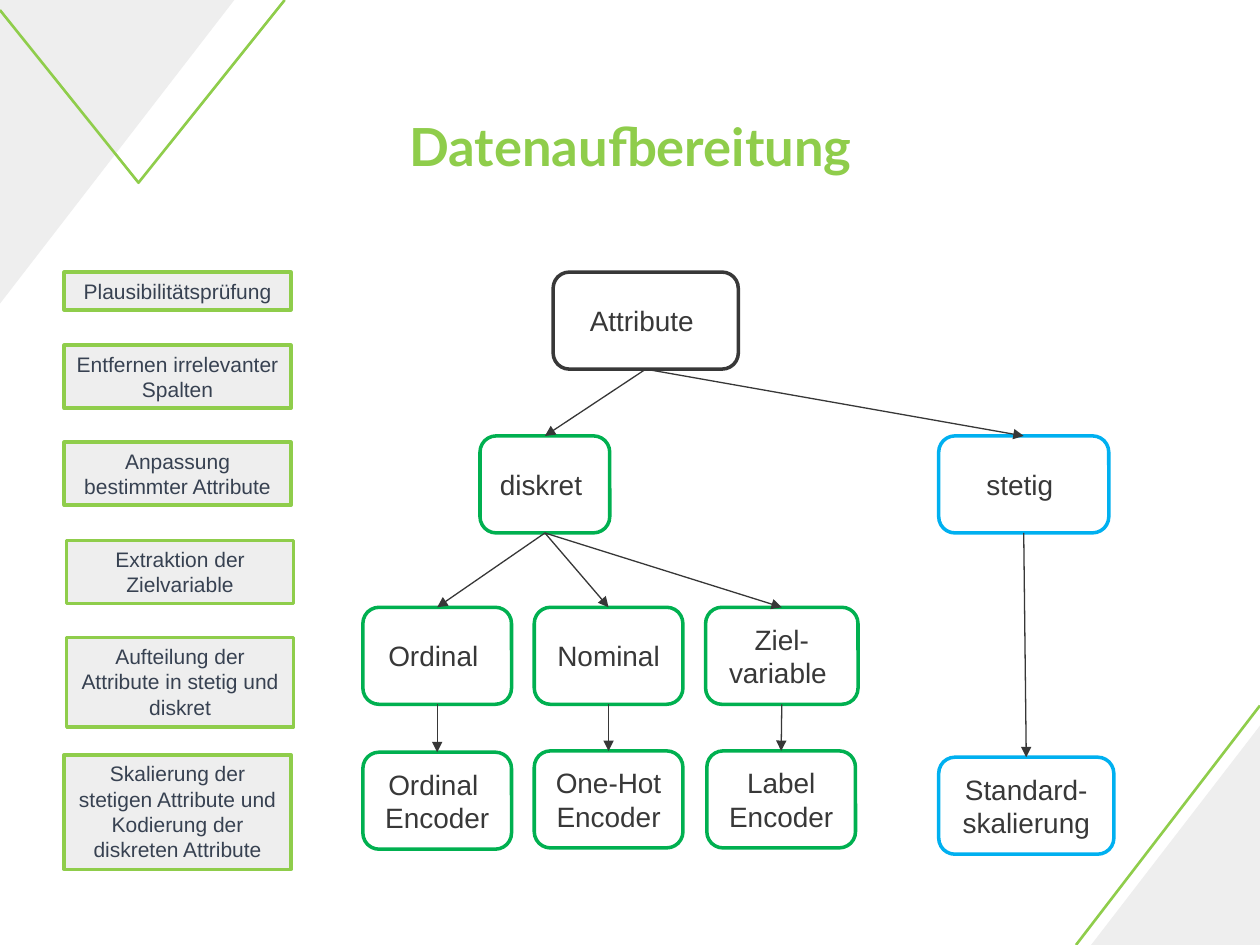
from lxml import etree
from pptx import Presentation
from pptx.dml.color import RGBColor
from pptx.enum.shapes import MSO_CONNECTOR, MSO_SHAPE
from pptx.enum.text import MSO_ANCHOR, MSO_AUTO_SIZE, PP_ALIGN
from pptx.oxml.ns import qn
from pptx.util import Inches, Pt

STRAIGHT = MSO_CONNECTOR.STRAIGHT
RECTANGLE, ROUNDED = MSO_SHAPE.RECTANGLE, MSO_SHAPE.ROUNDED_RECTANGLE
TOP, MIDDLE = MSO_ANCHOR.TOP, MSO_ANCHOR.MIDDLE
CENTER = PP_ALIGN.CENTER
GROW, FIXED = MSO_AUTO_SIZE.SHAPE_TO_FIT_TEXT, MSO_AUTO_SIZE.NONE
TOP_SITE, BOTTOM_SITE = 0, 2

LIME, PALE, SLATE = "8FCD4B", "EEEEEE", "374151"
DARK, ARROW, GREEN, BLUE = "383838", "373737", "00B050", "00B0F0"

STEPS = [
    (0, 0, 0.3, "Plausibilitätsprüfung"),
    (0, 0.58, 0.5, "Entfernen irrelevanter Spalten"),
    (0, 1.35, 0.5, "Anpassung bestimmter Attribute"),
    (0.02, 2.13, 0.5, "Extraktion der Zielvariable"),
    (0.02, 2.9, 0.71, "Aufteilung der Attribute in stetig und diskret"),
    (0, 3.83, 0.91, "Skalierung der stetigen Attribute und Kodierung der diskreten Attribute"),
]
NODES = {
    "attributes": (1.51, 0, 1.47, DARK, "Attribute "),
    "discrete": (0.93, 1.3, 1.03, GREEN, "diskret "),
    "continuous": (4.57, 1.3, 1.35, BLUE, "stetig "),
    "ordinal": (0, 2.66, 1.18, GREEN, "Ordinal "),
    "nominal": (1.36, 2.66, 1.18, GREEN, "Nominal"),
    "target": (2.72, 2.66, 1.21, GREEN, "Ziel-variable "),
    "ordinal encoder": (0, 3.81, 1.18, GREEN, "Ordinal \nEncoder"),
    "one-hot encoder": (1.36, 3.8, 1.18, GREEN, "One-Hot\nEncoder"),
    "label encoder": (2.73, 3.8, 1.18, GREEN, "Label Encoder"),
    "scaling": (4.57, 3.85, 1.39, BLUE, "Standard-skalierung"),
}
EDGES = [
    ("attributes", "discrete"), ("attributes", "continuous"),
    ("discrete", "ordinal"), ("discrete", "nominal"), ("discrete", "target"),
    ("continuous", "scaling"), ("ordinal", "ordinal encoder"),
    ("nominal", "one-hot encoder"), ("target", "label encoder"),
]


def color(value):
    """Turn a hex string into a colour."""
    return RGBColor.from_string(value)


def write_text(shape, text, size, ink, font="Arial", bold=False, anchor=MIDDLE, fit=FIXED):
    """Fill a shape with centred, formatted text, one paragraph a line."""
    frame = shape.text_frame
    frame.text = text
    frame.word_wrap = True
    frame.auto_size = fit
    frame.vertical_anchor = anchor
    for paragraph in frame.paragraphs:
        paragraph.alignment = CENTER
        paragraph.font.name = font
        paragraph.font.size = Pt(size)
        paragraph.font.bold = bold
        paragraph.font.color.rgb = color(ink)


def paint(shape, fill=None, line=None, width=2):
    """Set the fill and outline of a shape and drop its shadow."""
    shape.shadow.inherit = False
    if fill:
        shape.fill.solid()
        shape.fill.fore_color.rgb = color(fill)
    else:
        shape.fill.background()
    if line:
        shape.line.color.rgb = color(line)
        shape.line.width = Pt(width)
    else:
        shape.line.fill.background()


def add_box(slide, kind, left, top, width, height):
    """Add a preset shape placed in inches."""
    return slide.shapes.add_shape(kind, *map(Inches, (left, top, width, height)))


def add_outline(slide, points, closed, **style):
    """Add a freeform through points given in inches."""
    start, *others = [(Inches(x), Inches(y)) for x, y in points]
    builder = slide.shapes.build_freeform(*start)
    builder.add_line_segments(others, close=closed)
    paint(builder.convert_to_shape(), **style)


def add_corners(slide, right, bottom):
    """Decorate the upper left and lower right corners of the slide."""
    wedges = [
        [(0, 0), (1.86, 0), (0, 2.41)],
        [(right, bottom), (right - 1.34, bottom), (right, bottom - 1.74)],
    ]
    strokes = [
        [(0, 0.08), (1.1, 1.45), (2.26, 0)],
        [(right - 1.46, bottom), (right, bottom - 1.9)],
    ]
    for points in wedges:
        add_outline(slide, points, True, fill=PALE)
    for points in strokes:
        add_outline(slide, points, False, line=LIME, width=1.5)


def add_title(slide, left, top, width, height):
    """Place and format the title placeholder."""
    title = slide.shapes.title
    title.left, title.top, title.width, title.height = map(Inches, (left, top, width, height))
    write_text(title, "Datenaufbereitung", 30, LIME, font="Lato", bold=True)


def add_steps(slide, left, top, width):
    """Stack the preparation steps in a column."""
    for shift, offset, height, text in STEPS:
        box = add_box(slide, RECTANGLE, left + shift, top + offset, width, height)
        paint(box, fill=PALE, line=LIME)
        write_text(box, text, 12, SLATE, anchor=TOP, fit=GROW)


def add_arrow(slide, source, target):
    """Connect the bottom of one node to the top of another."""
    arrow = slide.shapes.add_connector(STRAIGHT, 0, 0, 0, 0)
    arrow.begin_connect(source, BOTTOM_SITE)
    arrow.end_connect(target, TOP_SITE)
    arrow.line.color.rgb = color(ARROW)
    arrow.line.width = Pt(0.75)
    etree.SubElement(arrow.line._get_or_add_ln(), qn("a:tailEnd"), type="triangle")
    etree.SubElement(arrow._element.spPr, qn("a:effectLst"))


def add_tree(slide, left, top, height):
    """Draw the attribute tree with nodes of equal height."""
    nodes = {}
    for name, (x, y, width, line, text) in NODES.items():
        nodes[name] = add_box(slide, ROUNDED, left + x, top + y, width, height)
        paint(nodes[name], line=line)
        write_text(nodes[name], text, 16, DARK)
    for source, target in EDGES:
        add_arrow(slide, nodes[source], nodes[target])


def main():
    """Build and save the slide."""
    presentation = Presentation()
    presentation.slide_width, presentation.slide_height = Inches(10), Inches(7.5)
    slide = presentation.slides.add_slide(presentation.slide_layouts[5])
    add_corners(slide, 10, 7.5)
    add_title(slide, 0.98, 0.77, 8.05, 0.77)
    add_steps(slide, 0.51, 2.16, 1.8)
    add_tree(slide, 2.88, 2.16, 0.77)
    presentation.save("out.pptx")


if __name__ == "__main__":
    main()
